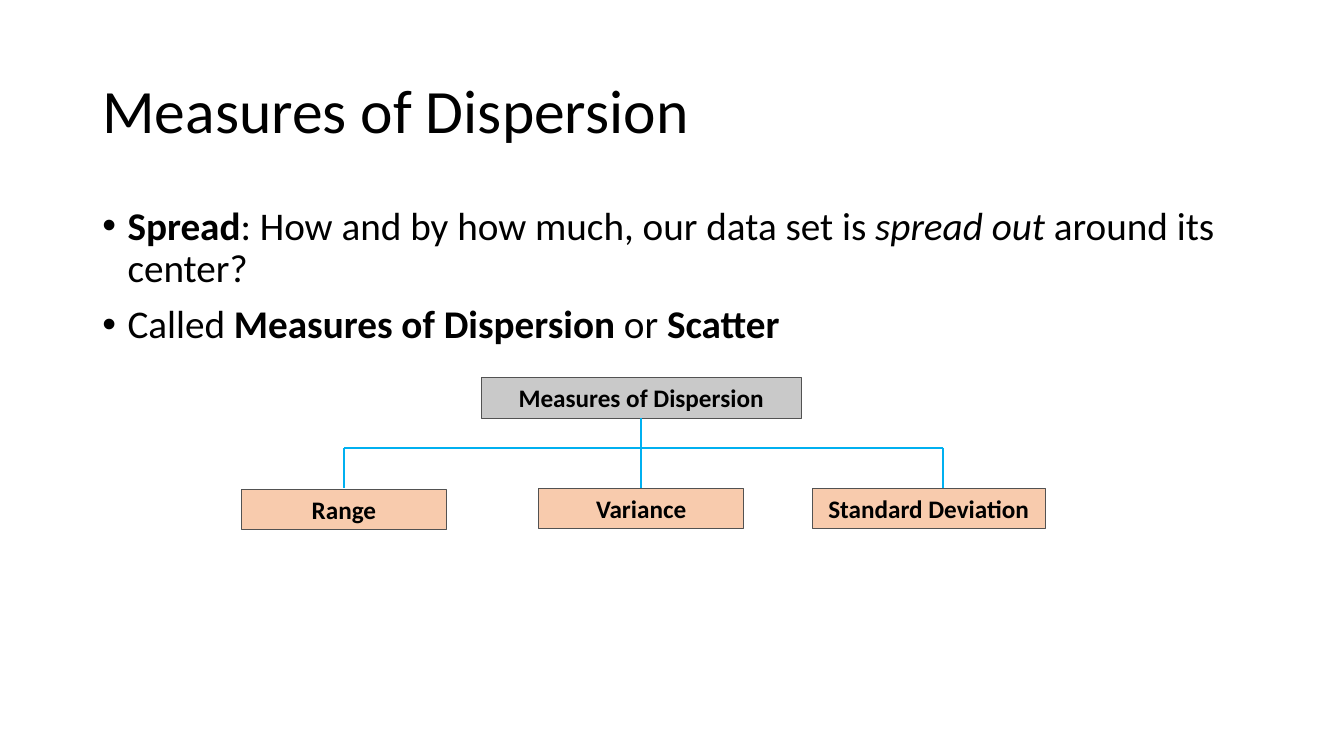
import pptx
import pptx.util
import pptx.dml.color
import pptx.enum.shapes
import pptx.enum.text
import lxml.etree
import pptx.oxml.ns

Cm, Pt = pptx.util.Cm, pptx.util.Pt
RGBColor = pptx.dml.color.RGBColor
qn = pptx.oxml.ns.qn
ANCHOR = pptx.enum.text.MSO_ANCHOR

BLACK = RGBColor(0x00, 0x00, 0x00)
GREY = RGBColor(0xC9, 0xC9, 0xC9)
PEACH = RGBColor(0xF8, 0xCB, 0xAD)
EDGE = RGBColor(0x52, 0x52, 0x52)
BLUE = RGBColor(0x00, 0xB0, 0xF0)


def add_runs(para, size, runs):
    for text, style in runs:
        run = para.add_run()
        run.text = text
        font = run.font
        font.name, font.size = "Calibri", Pt(size)
        font.color.rgb = BLACK
        font.bold = style == "bold"
        font.italic = style == "italic"


def add_text(top, height, anchor):
    box = slide.shapes.add_textbox(Cm(2.33), Cm(top), Cm(29.21), Cm(height))
    frame = box.text_frame
    frame.word_wrap = True
    frame.vertical_anchor = anchor
    return frame


deck = pptx.Presentation()
deck.slide_width, deck.slide_height = Cm(33.87), Cm(19.05)
slide = deck.slides.add_slide(deck.slide_layouts[6])

# Title
para = add_text(1.01, 3.68, ANCHOR.MIDDLE).paragraphs[0]
para.line_spacing = 0.9
add_runs(para, 44, [("Measures of Dispersion", "plain")])

# Bullet points
points = [
    [("Spread", "bold"),
     (": How and by how much, our data set is ", "plain"),
     ("spread out ", "italic"),
     ("around its center?", "plain")],
    [("Called ", "plain"),
     ("Measures of Dispersion ", "bold"),
     ("or ", "plain"),
     ("Scatter", "bold")],
]
body = add_text(5.07, 12.09, ANCHOR.TOP)
for i, runs in enumerate(points):
    para = body.add_paragraph() if i else body.paragraphs[0]
    para.line_spacing = 0.9
    para.space_before = Pt(10)
    props = para._p.get_or_add_pPr()
    props.set("marL", str(Cm(0.635)))
    props.set("indent", str(-Cm(0.635)))
    lxml.etree.SubElement(props, qn("a:buFont")).set("typeface", "Arial")
    lxml.etree.SubElement(props, qn("a:buChar")).set("char", "•")
    add_runs(para, 28, runs)

# Tree boxes: label, left, top, width, fill
boxes = [
    ("Measures of Dispersion", 12.13, 9.52, 8.06, GREY),
    ("Range", 6.09, 12.33, 5.16, PEACH),
    ("Variance", 13.58, 12.3, 5.16, PEACH),
    ("Standard Deviation", 20.47, 12.3, 5.87, PEACH),
]
for label, left, top, width, color in boxes:
    box = slide.shapes.add_shape(pptx.enum.shapes.MSO_SHAPE.RECTANGLE,
                                 Cm(left), Cm(top), Cm(width), Cm(1.02))
    box.shadow.inherit = False
    box.fill.solid()
    box.fill.fore_color.rgb = color
    box.line.color.rgb = EDGE
    box.line.width = Pt(0.75)
    frame = box.text_frame
    frame.word_wrap = True
    frame.vertical_anchor = ANCHOR.TOP
    frame.auto_size = pptx.enum.text.MSO_AUTO_SIZE.SHAPE_TO_FIT_TEXT
    para = frame.paragraphs[0]
    para.alignment = pptx.enum.text.PP_ALIGN.CENTER
    add_runs(para, 18, [(label, "bold")])

# Branch lines
west, mid, east = 8.67, 16.16, 23.77
root, bar, leaf = 10.54, 11.28, 12.3
lines = [
    (mid, root, mid, leaf),
    (west, bar, east, bar),
    (west, bar, west, leaf),
    (east, bar, east, leaf),
]
for ends in lines:
    line = slide.shapes.add_connector(
        pptx.enum.shapes.MSO_CONNECTOR.STRAIGHT, *[Cm(end) for end in ends])
    line.line.color.rgb = BLUE
    line.line.width = Pt(1.5)
    lxml.etree.SubElement(line._element.spPr, qn("a:effectLst"))

deck.save("out.pptx")
